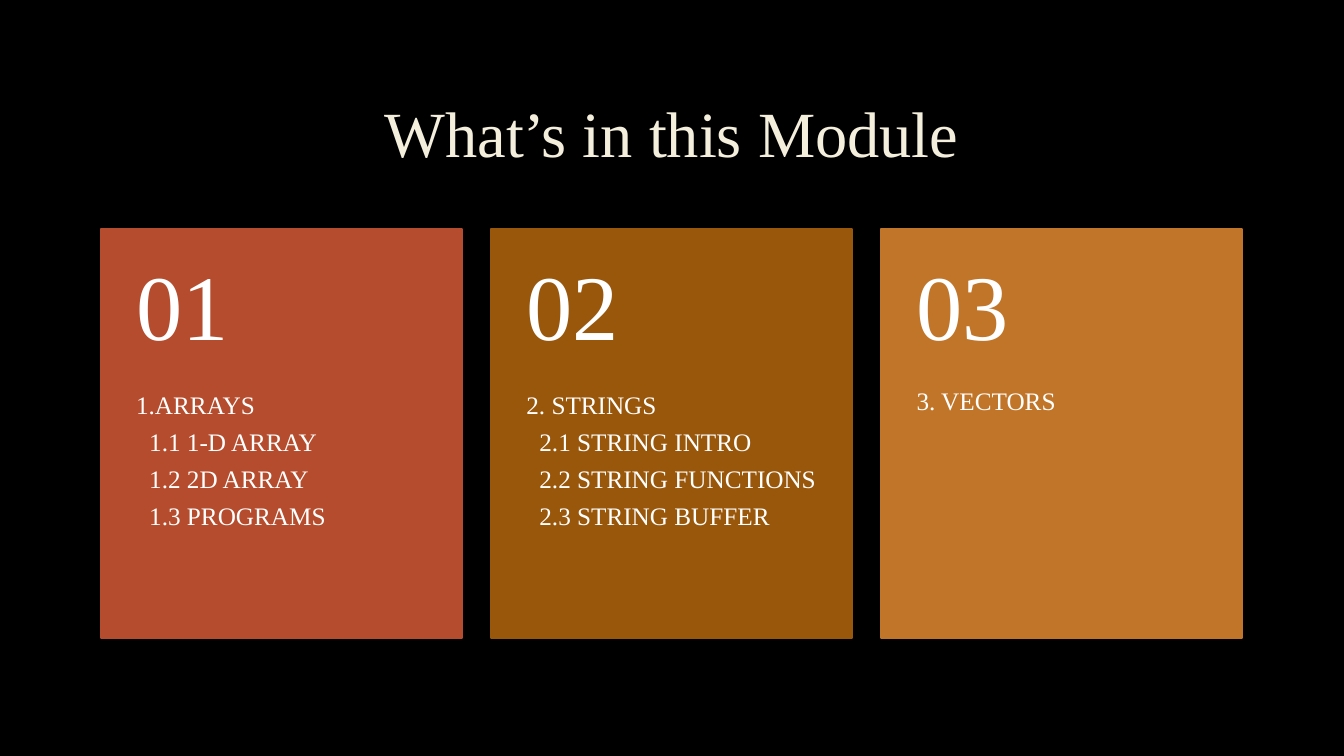
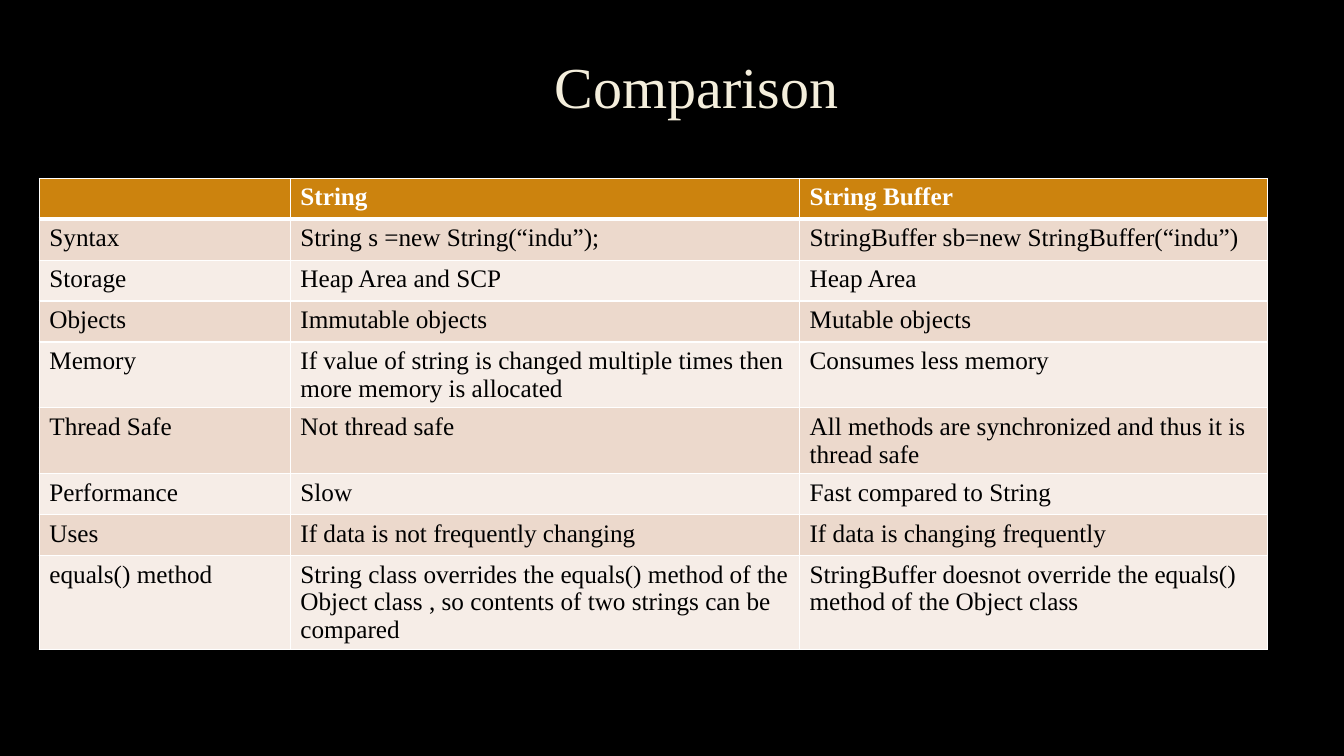
import pptx
import pptx.dml.color
import pptx.enum.shapes
import pptx.enum.text
import pptx.oxml
import pptx.oxml.ns
import pptx.util

Inches, Pt = pptx.util.Inches, pptx.util.Pt
ANCHOR = pptx.enum.text.MSO_ANCHOR
NAMESPACE = pptx.oxml.ns.nsdecls("a")

FONT = "Times New Roman"
BLACK, WHITE, CREAM = "000000", "FFFFFF", "F4EEDC"
HEADER_FILL = "CC830E"
BAND_FILLS = ["F6EDE7", "ECD9CC"]


def rgb(value):
    return pptx.dml.color.RGBColor.from_string(value)


def add_run(paragraph, text, size, color, bold=False):
    run = paragraph.add_run()
    run.text = text
    run.font.name = FONT
    run.font.size = Pt(size)
    run.font.bold = bold
    run.font.color.rgb = rgb(color)
    return run


prs = pptx.Presentation()
prs.slide_width, prs.slide_height = Inches(13.33), Inches(7.5)
background = prs.slide_master.background.fill
background.solid()
background.fore_color.rgb = rgb(BLACK)

# Titles: text, left, top, height, size
titles = [
    ("What’s in this Module", 1, 0.67, 1.38, 46),
    ("Comparison", 1.25, 0.71, 0.37, 41.4),
]
slides = []
for text, left, top, height, size in titles:
    slide = prs.slides.add_slide(prs.slide_layouts[5])
    title = slide.shapes.title
    title.left, title.top = Inches(left), Inches(top)
    title.width, title.height = Inches(11.32), Inches(height)
    frame = title.text_frame
    frame.auto_size = pptx.enum.text.MSO_AUTO_SIZE.NONE
    frame.vertical_anchor = ANCHOR.MIDDLE
    heading = frame.paragraphs[0]
    heading.alignment = pptx.enum.text.PP_ALIGN.CENTER
    heading.line_spacing = 0.9
    run = add_run(heading, text, size, CREAM)
    outline = pptx.oxml.parse_xml(
        f'<a:ln {NAMESPACE} w="9525"><a:solidFill><a:srgbClr val="404040">'
        '<a:alpha val="10000"/></a:srgbClr></a:solidFill></a:ln>')
    run.font._element.insert(0, outline)
    slides.append(slide)
module_slide, comparison_slide = slides

# Module cards: fill, topic, subtopics
cards = [
    ("B54C2D", "1.ARRAYS", ["1.1 1-D ARRAY", "1.2 2D ARRAY", "1.3 PROGRAMS"]),
    ("99570C", "2. STRINGS",
     ["2.1 STRING INTRO", "2.2 STRING FUNCTIONS", "2.3 STRING BUFFER"]),
    ("C17529", "3. VECTORS", []),
]
CARD_WIDTH, CARD_PITCH, CARD_TOP = Inches(3.58), Inches(3.87), Inches(2.27)
card_group = module_slide.shapes.add_group_shape()
for index, (fill, topic, subtopics) in enumerate(cards):
    left = Inches(1) + index * CARD_PITCH
    card = card_group.shapes.add_shape(
        pptx.enum.shapes.MSO_SHAPE.RECTANGLE, left, CARD_TOP, CARD_WIDTH, Inches(4.06))
    card.shadow.inherit = False
    card.fill.solid()
    card.fill.fore_color.rgb = rgb(fill)
    card.line.color.rgb = rgb(fill)
    card.line.width = Pt(1.25)

    topics = card_group.shapes.add_textbox(
        left, Inches(3.9), CARD_WIDTH, Inches(2.44)).text_frame
    topics.margin_top, topics.margin_bottom = 0, Inches(0.36)
    number = card_group.shapes.add_textbox(
        left, CARD_TOP, CARD_WIDTH, Inches(1.62)).text_frame
    number.margin_top = number.margin_bottom = Inches(0.18)
    number.vertical_anchor = ANCHOR.MIDDLE
    for frame in (topics, number):
        frame.word_wrap = True
        frame.margin_left = frame.margin_right = Inches(0.35)
        frame.paragraphs[0].line_spacing = 0.9

    add_run(number.paragraphs[0], f"{index + 1:02}", 66, WHITE)
    topics.paragraphs[0].space_after = Pt(7)
    add_run(topics.paragraphs[0], topic, 18, WHITE)
    for subtopic in subtopics:
        line = topics.add_paragraph()
        line.line_spacing = 0.9
        line.space_after = Pt(7)
        line._p.get_or_add_pPr().set("marL", str(Inches(0.13)))
        add_run(line, subtopic, 18, WHITE)

# Comparison table
comparison = [
    ("", "String", "String Buffer"),
    ("Syntax", "String s =new String(“indu”);", "StringBuffer sb=new StringBuffer(“indu”)"),
    ("Storage", "Heap Area and SCP", "Heap Area"),
    ("Objects", "Immutable objects", "Mutable objects"),
    ("Memory", "If value of string is changed multiple times then more memory is allocated",
     "Consumes less memory"),
    ("Thread Safe", "Not thread safe",
     "All methods are synchronized and thus it is thread safe"),
    ("Performance", "Slow", "Fast compared to String"),
    ("Uses", "If data is not frequently changing", "If data is changing frequently"),
    ("equals() method",
     "String class overrides the equals() method of the Object class , "
     "so contents of two strings can be compared",
     "StringBuffer doesnot override the equals() method of the Object class"),
]
column_widths = [2.49, 5.05, 4.64]
table = comparison_slide.shapes.add_table(
    len(comparison), len(column_widths), Inches(0.39), Inches(1.77),
    Inches(sum(column_widths)), Inches(3.65)).table
table.horz_banding = False
for column, width in zip(table.columns, column_widths):
    column.width = Inches(width)

for row, texts in enumerate(comparison):
    is_header = row == 0
    border_widths = {"L": 1, "R": 1, "T": 3 if row == 1 else 1, "B": 3 if is_header else 1}
    for column, text in enumerate(texts):
        cell = table.cell(row, column)
        cell_properties = cell._tc.get_or_add_tcPr()
        for side, width in border_widths.items():
            cell_properties.append(pptx.oxml.parse_xml(
                f'<a:ln{side} {NAMESPACE} w="{Pt(width)}"><a:solidFill>'
                f'<a:srgbClr val="{WHITE}"/></a:solidFill></a:ln{side}>'))
        cell.fill.solid()
        cell.fill.fore_color.rgb = rgb(HEADER_FILL if is_header else BAND_FILLS[row % 2])
        if text:
            add_run(cell.text_frame.paragraphs[0], text, 18,
                    WHITE if is_header else BLACK, is_header)

prs.save("out.pptx")
